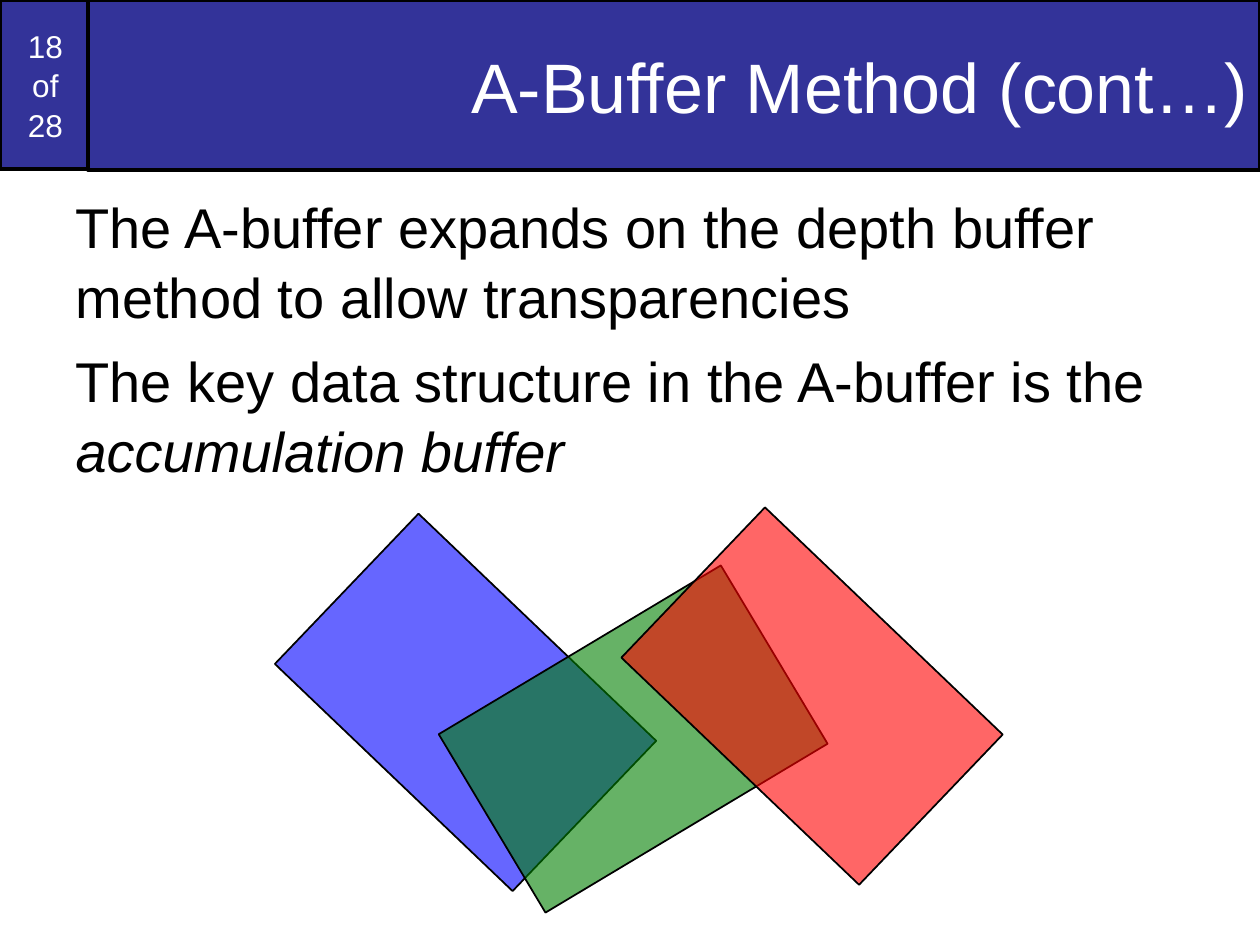
from pptx import Presentation
from pptx.dml.color import RGBColor as Rgb
from pptx.enum.shapes import MSO_SHAPE as Kind
from pptx.enum.text import MSO_ANCHOR as Anchor, MSO_AUTO_SIZE as Auto, PP_ALIGN as Align
from pptx.oxml.ns import qn
from pptx.util import Inches, Pt
from lxml.etree import SubElement as Sub

HUES = {"band": "333399", "white": "FFFFFF", "black": "000000",
        "blue": "0000FF", "green": "008000", "red": "FF0000"}


def hue(name):
    return Rgb.from_string(HUES[name])


def apply(item, form):
    for key, val in form.items():
        setattr(item, key, val)


def place(shape, box):
    apply(shape, dict(zip(("left", "top", "width", "height"), map(Inches, box))))


def paint(shape, fill, line):
    shape.fill.solid()
    shape.fill.fore_color.rgb = hue(fill)
    shape.line.color.rgb = hue("black")
    shape.line.width = Pt(line)


def style(para, size, tint, **form):
    apply(para.font, {"name": "Arial", "size": Pt(size)})
    para.font.color.rgb = hue(tint)
    apply(para, form)


def add_rect(slide, box):
    rect = slide.shapes.add_shape(Kind.RECTANGLE, *map(Inches, box))
    rect.shadow.inherit = False
    return rect


def add_count(slide, box):
    """Page count, kept behind the title."""
    rect = add_rect(slide, box)
    paint(rect, "band", 2)
    frame = rect.text_frame
    apply(frame, {"word_wrap": True, "vertical_anchor": Anchor.MIDDLE})
    frame.text = "18\vof\v28"
    style(frame.paragraphs[0], 18, "white", alignment=Align.CENTER,
          space_before=Pt(11.2), line_spacing=1.04)
    slide.shapes.title.element.addprevious(rect.element)


def add_title(slide, box):
    title = slide.shapes.title
    place(title, box)
    paint(title, "band", 2)
    frame = title.text_frame
    frame.text = "A-Buffer Method (cont…)"
    apply(frame, {"vertical_anchor": Anchor.MIDDLE, "auto_size": Auto.NONE})
    style(frame.paragraphs[0], 40, "white", alignment=Align.RIGHT)


def add_body(slide, box):
    body = slide.placeholders[1]
    place(body, box)
    frame = body.text_frame
    frame.auto_size = Auto.NONE
    frame.text = ("The A-buffer expands on the depth buffer method to allow transparencies\n"
                  "The key data structure in the A-buffer is the ")
    term = frame.paragraphs[1].add_run()
    term.text = "accumulation buffer"
    term.font.italic = True
    for para in frame.paragraphs:
        style(para, 32, "black", space_before=Pt(8), line_spacing=1.04)
        props = para._p.get_or_add_pPr()
        props.set("marL", "0")
        props.set("indent", "0")
        Sub(props, qn("a:buNone"))


def add_panes(slide, left, top):
    """Three tilted see-through panes, from back to front."""
    panes = [("blue", 0, 0.05, 43.7), ("green", 1.33, 0.34, 149.1),
             ("red", 2.75, 0, 43.7)]
    for tint, dx, dy, turn in panes:
        pane = add_rect(slide, (left + dx, top + dy, 2.61, 1.65))
        pane.rotation = turn
        paint(pane, tint, 1)
        color = pane.element.spPr.find(qn("a:solidFill"))[0]
        Sub(color, qn("a:alpha")).set("val", "60000")


def main():
    deck = Presentation()
    apply(deck, {"slide_width": Inches(10), "slide_height": Inches(7.5)})
    slide = deck.slides.add_slide(deck.slide_layouts[1])
    add_count(slide, (0, 0, 0.72, 1.34))
    add_title(slide, (0.7, 0, 9.3, 1.35))
    add_body(slide, (0.5, 1.46, 9, 6.04))
    add_panes(slide, 2.39, 4.7)
    deck.save("out.pptx")


if __name__ == "__main__":
    main()
